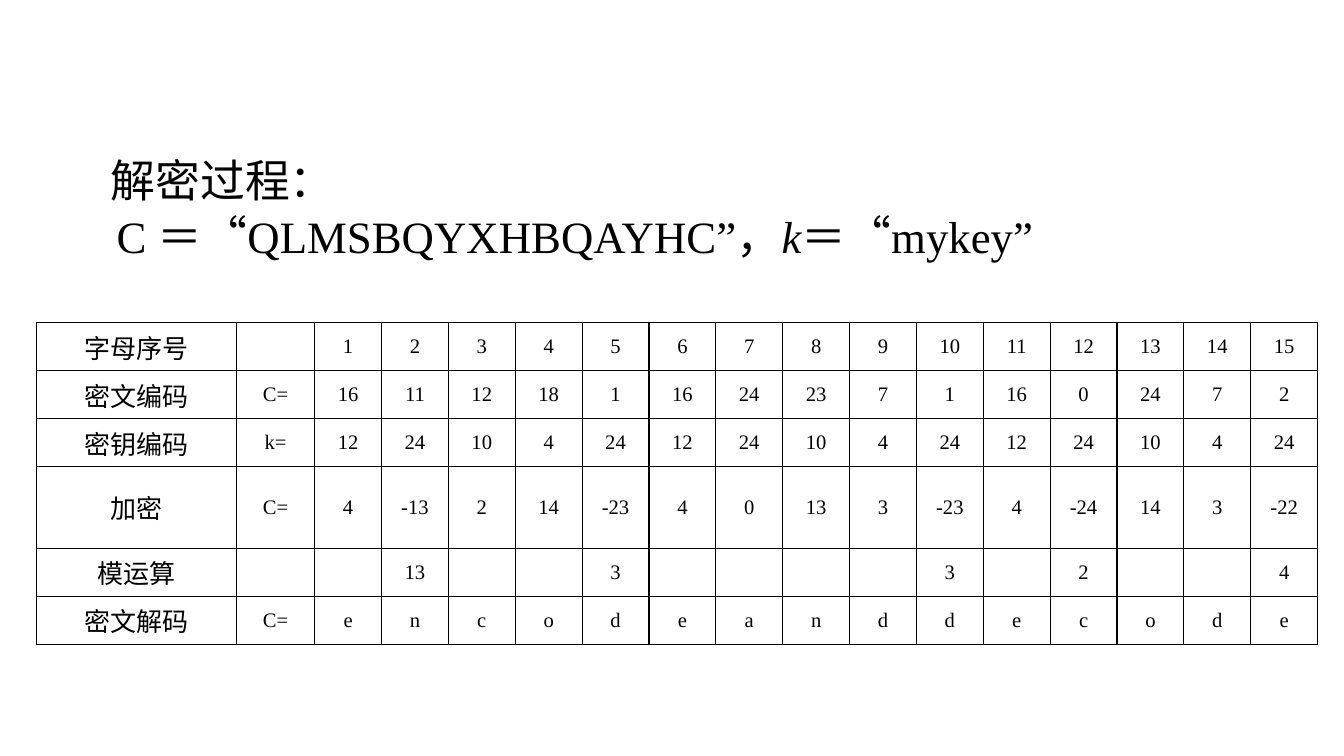
"""Build a slide that decrypts a Vigenère ciphertext step by step in a table."""
import lxml.etree
import pptx
import pptx.dml.color
import pptx.enum.text
import pptx.oxml
import pptx.oxml.ns
import pptx.util

Cm = pptx.util.Cm
Pt = pptx.util.Pt
qn = pptx.oxml.ns.qn


def rgb(value):
    return pptx.dml.color.RGBColor.from_string(value)


def style(p, size, margin, indent):
    pPr = p._p.get_or_add_pPr()
    pPr.set("marL", str(Cm(margin)))
    pPr.set("indent", str(Cm(indent)))
    for r in p.runs:
        r.font.size = Pt(size)
        r.font.name = "Times New Roman"
        r.font.color.rgb = rgb("000000")


prs = pptx.Presentation()
prs.slide_width, prs.slide_height = Cm(33.87), Cm(19.05)
s = prs.slides.add_slide(prs.slide_layouts[6])

ciphertext, key = "QLMSBQYXHBQAYHC", "mykey"

tf = s.shapes.add_textbox(Cm(2.79), Cm(4.11), Cm(28.96), Cm(2.77)).text_frame
tf.word_wrap = True
tf.margin_left = tf.margin_right = tf.margin_top = tf.margin_bottom = 0
tf.text = "解密过程："
formula = tf.add_paragraph()
for text in (f"C ＝“{ciphertext}”，", "k", f"＝“{key}”"):
    r = formula.add_run()
    r.text = text
    r.font.italic = text == "k"
for p, margin, indent in ((tf.paragraphs[0], 0, 0), (formula, 1.9, -1.75)):
    p.line_spacing = 0.8
    p.space_before = Pt(9)
    style(p, 32, margin, indent)

cipher_codes = [ord(c) - ord("A") for c in ciphertext]
key_codes = [ord(key[i % len(key)]) - ord("a") for i in range(len(ciphertext))]
differences = [c - k for c, k in zip(cipher_codes, key_codes)]
rows = [
    ["字母序号", "", *range(1, len(ciphertext) + 1)],
    ["密文编码", "C=", *cipher_codes],
    ["密钥编码", "k=", *key_codes],
    ["加密", "C=", *differences],
    ["模运算", "", *(d % 26 if d < 0 else "" for d in differences)],
    ["密文解码", "C=", *(chr(ord("a") + d % 26) for d in differences)],
]
widths = [5.03, 1.97] + [25.28 / len(ciphertext)] * len(ciphertext)
heights = [1.21, 1.21, 1.21, 2.06, 1.21, 1.21]

table = s.shapes.add_table(len(rows), len(widths), Cm(0.93), Cm(8.13),
                           Cm(sum(widths)), Cm(sum(heights))).table
table.first_row = table.horz_banding = False
for column, width in zip(table.columns, widths):
    column.width = Cm(width)
for row, height, values in zip(table.rows, heights, rows):
    row.height = Cm(height)
    for j, (cell, value) in enumerate(zip(row.cells, values)):
        cell.margin_left = cell.margin_right = Cm(0.33)
        cell.margin_top = cell.margin_bottom = Cm(0.13)
        cell.vertical_anchor = pptx.enum.text.MSO_ANCHOR.MIDDLE
        p = cell.text_frame.paragraphs[0]
        p.text = str(value)
        p.alignment = pptx.enum.text.PP_ALIGN.CENTER
        style(p, 18.6 if j == 0 else 14.7, 0.97, -0.97)
        tcPr = cell._tc.get_or_add_tcPr()
        for side in ("a:lnL", "a:lnR", "a:lnT", "a:lnB"):
            ln = lxml.etree.SubElement(tcPr, qn(side), w=str(Pt(1)))
            fill = lxml.etree.SubElement(ln, qn("a:solidFill"))
            lxml.etree.SubElement(fill, qn("a:srgbClr"), val="000000")
        cell.fill.background()

prs.save("out.pptx")
